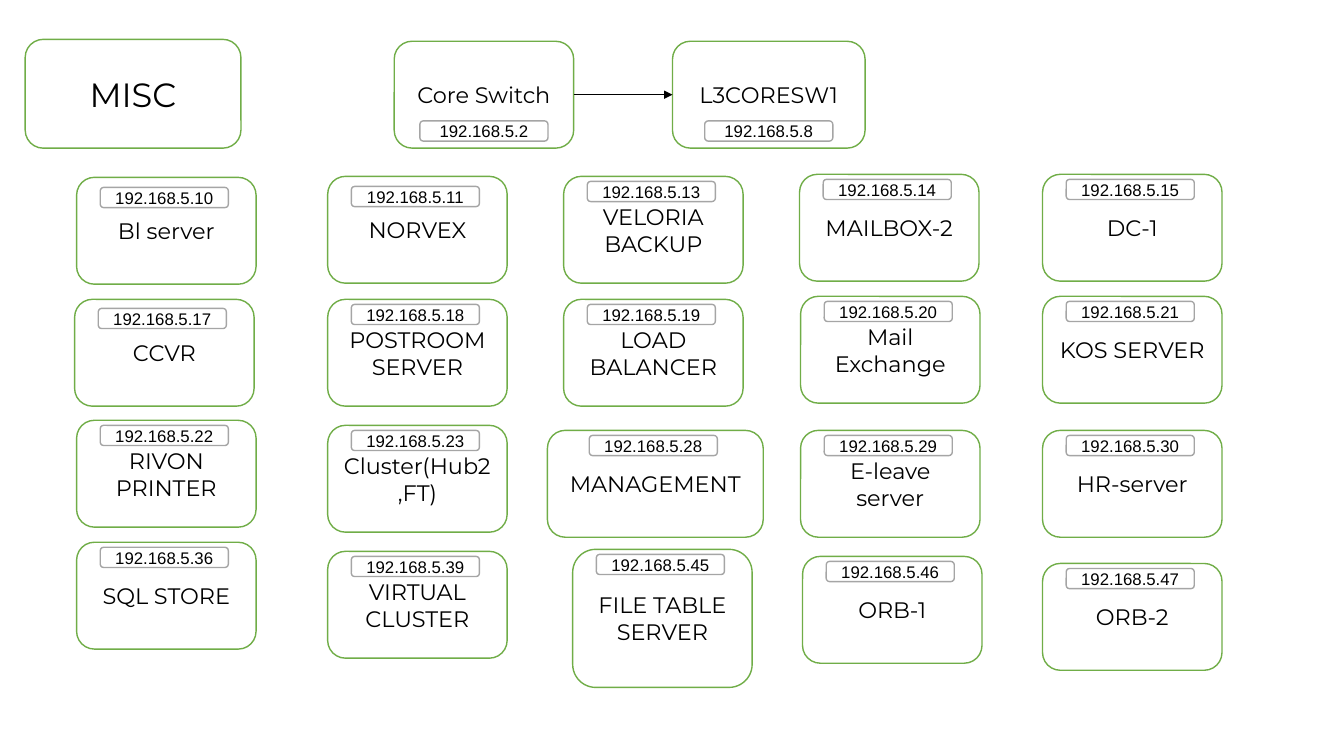
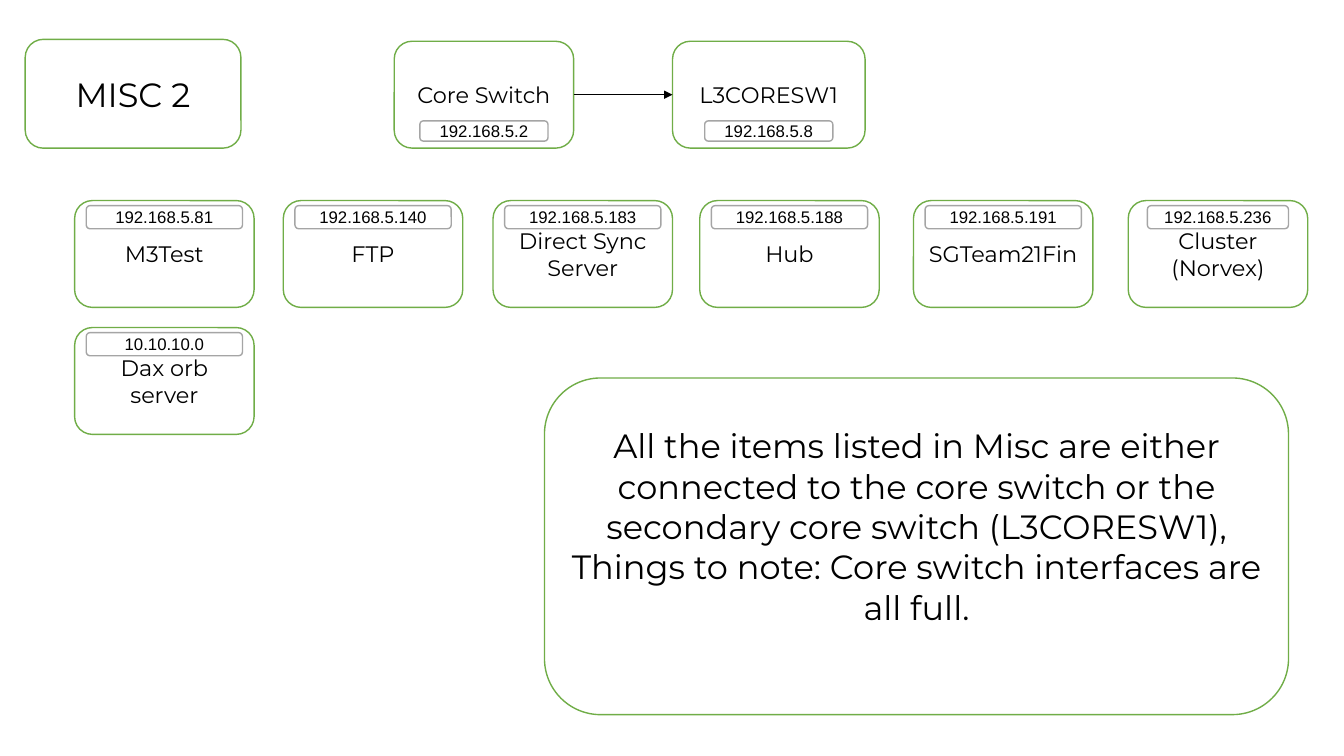
from dataclasses import dataclass

from lxml import etree
from pptx import Presentation
from pptx.dml.color import RGBColor
from pptx.enum.shapes import MSO_CONNECTOR, MSO_SHAPE
from pptx.enum.text import MSO_ANCHOR, PP_ALIGN
from pptx.oxml.ns import qn
from pptx.util import Inches, Pt

ROUND_RECT = MSO_SHAPE.ROUNDED_RECTANGLE
STRAIGHT = MSO_CONNECTOR.STRAIGHT
MIDDLE = MSO_ANCHOR.MIDDLE
CENTER = PP_ALIGN.CENTER
RIGHT_SIDE, LEFT_SIDE = 3, 1

COLORS = {"paper": "FFFFFF", "node": "70AD47", "tag": "A5A5A5", "ink": "000000"}
NODE_FONT, TAG_FONT = "Montserrat", "Arial"
NODE_W, NODE_H = 1.78, 1.06


@dataclass(frozen=True)
class Grid:
    """Left edges of the columns and top edges of the rows."""
    cols: tuple[float, ...]
    rows: tuple[float, ...]
    tag_w: float
    tag_h: float
    tag_shift: float = 0


@dataclass(frozen=True)
class Node:
    """A device in a grid cell; dx and dy nudge it from the cell's corner."""
    name: str
    ip: str
    col: int
    row: int
    dx: float = 0
    dy: float = 0
    w: float = NODE_W
    h: float = NODE_H
    tag_dy: float = 0.05
    tag_w: float | None = None


HEADER = Grid((3.91, 6.67), (0.41,), 1.27, 0.2)
CORE = Node("Core Switch", "192.168.5.2", 0, 0, tag_dy=0.79)
CORE_2 = Node("L3CORESW1", "192.168.5.8", 1, 0, w=1.91, tag_dy=0.79)

MISC = Grid((0.76, 3.25, 5.59, 7.94, 10.34), (1.75, 2.97, 4.27, 5.5), 1.27, 0.2, -0.02)
MISC_NODES = (
    Node("Bl server", "192.168.5.10", 0, 0, dy=0.01, tag_dy=0.1),
    Node("NORVEX", "192.168.5.11", 1, 0, tag_dy=0.1),
    Node("VELORIA BACKUP", "192.168.5.13", 2, 0),
    Node("MAILBOX-2", "192.168.5.14", 3, 0, dx=-0.01, dy=-0.02),
    Node("DC-1", "192.168.5.15", 4, 0, dy=-0.02),
    Node("CCVR", "192.168.5.17", 0, 1, dx=-0.02, tag_dy=0.09),
    Node("POSTROOM SERVER", "192.168.5.18", 1, 1),
    Node("LOAD BALANCER", "192.168.5.19", 2, 1),
    Node("Mail Exchange", "192.168.5.20", 3, 1, dy=-0.03),
    Node("KOS SERVER", "192.168.5.21", 4, 1, dy=-0.03),
    Node("RIVON PRINTER", "192.168.5.22", 0, 2, dy=-0.1),
    Node("Cluster(Hub2,FT)", "192.168.5.23", 1, 2, dy=-0.05),
    Node("MANAGEMENT", "192.168.5.28", 2, 2, dx=-0.16, w=2.14),
    Node("E-leave server", "192.168.5.29", 3, 2),
    Node("HR-server", "192.168.5.30", 4, 2),
    Node("SQL STORE", "192.168.5.36", 0, 3, dy=-0.12),
    Node("VIRTUAL CLUSTER", "192.168.5.39", 1, 3, dy=-0.03),
    Node("FILE TABLE SERVER", "192.168.5.45", 2, 3, dx=0.09, dy=-0.05, h=1.37),
    Node("ORB-1", "192.168.5.46", 3, 3, dx=0.02, dy=0.02),
    Node("ORB-2", "192.168.5.47", 4, 3, dy=0.09),
)

MISC_2 = Grid((0.74, 2.81, 4.89, 6.94, 9.06, 11.19), (1.99, 3.25), 1.55, 0.23)
MISC_2_NODES = (
    Node("M3Test", "192.168.5.81", 0, 0),
    Node("FTP", "192.168.5.140", 1, 0),
    Node("Direct Sync Server", "192.168.5.183", 2, 0),
    Node("Hub", "192.168.5.188", 3, 0),
    Node("SGTeam21Fin", "192.168.5.191", 4, 0),
    Node("Cluster (Norvex)", "192.168.5.236", 5, 0, tag_w=1.4),
    Node("Dax orb server", "10.10.10.0", 0, 1),
)
NOTE = (
    "All the items listed in Misc are either connected to the core switch "
    "or the secondary core switch (L3CORESW1),",
    "Things to note: Core switch interfaces are all full.",
)


def rgb(key: str) -> RGBColor:
    return RGBColor.from_string(COLORS[key])


def add_box(s, x: float, y: float, w: float, h: float, lines: tuple[str, ...],
            size: int, font: str = NODE_FONT, line: str = "node"):
    """Draw an outlined rounded box with centred text."""
    sp = s.shapes.add_shape(ROUND_RECT, Inches(x), Inches(y), Inches(w), Inches(h))
    sp.shadow.inherit = False
    sp.fill.solid()
    sp.fill.fore_color.rgb = rgb("paper")
    sp.line.color.rgb = rgb(line)
    sp.line.width = Pt(1)
    tf = sp.text_frame
    tf.word_wrap = True
    tf.vertical_anchor = MIDDLE
    for i, text in enumerate(lines):
        p = tf.paragraphs[0] if i == 0 else tf.add_paragraph()
        p.text = text
        p.alignment = CENTER
        p.font.size = Pt(size)
        p.font.name = font
        p.font.color.rgb = rgb("ink")
    return sp


def add_node(s, grid: Grid, node: Node):
    """Draw a device and its address tag, and return the device's box."""
    x, y = grid.cols[node.col] + node.dx, grid.rows[node.row] + node.dy
    sp = add_box(s, x, y, node.w, node.h, (node.name,), 16)
    tag_w = node.tag_w or grid.tag_w
    add_box(s, x + (node.w - tag_w) / 2 + grid.tag_shift, y + node.tag_dy,
            tag_w, grid.tag_h, (node.ip,), 12, TAG_FONT, "tag")
    return sp


def add_arrow(s, start, end) -> None:
    """Join two boxes from left to right."""
    cx = s.shapes.add_connector(STRAIGHT, 0, 0, 0, 0)
    cx.begin_connect(start, RIGHT_SIDE)
    cx.end_connect(end, LEFT_SIDE)
    cx.line.color.rgb = rgb("ink")
    cx.line.width = Pt(0.5)
    etree.SubElement(cx.line._get_or_add_ln(), qn("a:tailEnd"), type="triangle")
    etree.SubElement(cx._element.spPr, qn("a:effectLst"))


def add_network(prs, title: str, grid: Grid, nodes: tuple[Node, ...]):
    """Add a slide with its title, the core switches and a grid of devices."""
    s = prs.slides.add_slide(prs.slide_layouts[6])
    add_box(s, 0.25, 0.39, 2.14, 1.08, (title,), 24)
    add_arrow(s, add_node(s, HEADER, CORE), add_node(s, HEADER, CORE_2))
    for node in nodes:
        add_node(s, grid, node)
    return s


def main() -> None:
    prs = Presentation()
    prs.slide_width, prs.slide_height = Inches(13.33), Inches(7.5)

    # Slide 1: main devices
    add_network(prs, "MISC", MISC, MISC_NODES)

    # Slide 2: further devices and a note, its text raised by the bottom inset
    s = add_network(prs, "MISC 2", MISC_2, MISC_2_NODES)
    note = add_box(s, 5.4, 3.75, 7.38, 3.34, NOTE, 24)
    note.text_frame.margin_bottom = Inches(0.45)

    prs.save("out.pptx")


if __name__ == "__main__":
    main()
